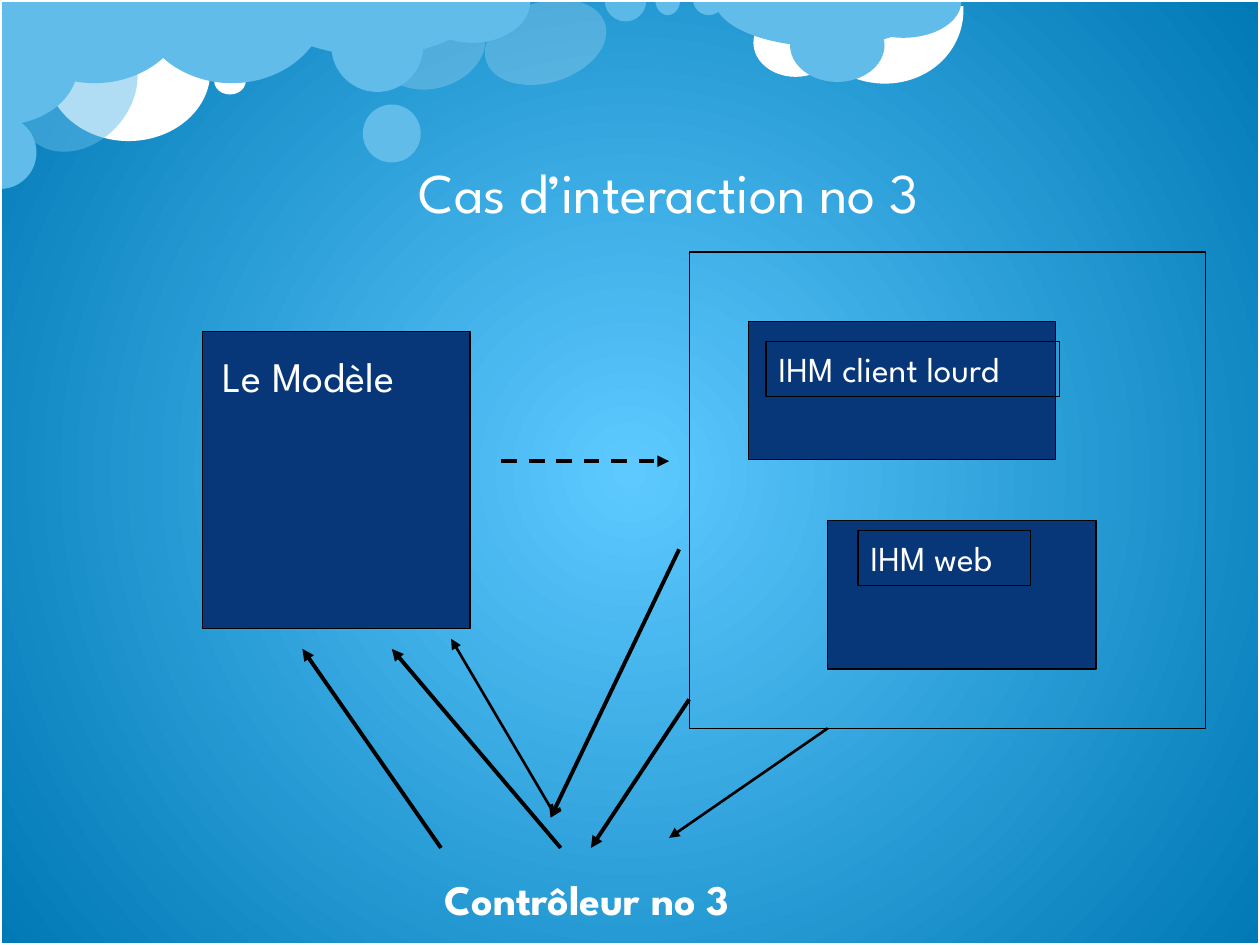
from lxml import etree
from pptx import Presentation
from pptx.dml.color import RGBColor
from pptx.enum.dml import MSO_LINE
from pptx.enum.shapes import MSO_CONNECTOR, MSO_SHAPE
from pptx.enum.text import MSO_ANCHOR, MSO_AUTO_SIZE, PP_ALIGN
from pptx.oxml.ns import qn
from pptx.util import Inches, Pt

ELLIPSE, PIE, ARC, RECT = MSO_SHAPE.OVAL, MSO_SHAPE.PIE, MSO_SHAPE.ARC, MSO_SHAPE.RECTANGLE
STRAIGHT, DASH = MSO_CONNECTOR.STRAIGHT, MSO_LINE.DASH
CENTER, LEFT = PP_ALIGN.CENTER, PP_ALIGN.LEFT
TOP, MIDDLE = MSO_ANCHOR.TOP, MSO_ANCHOR.MIDDLE
FIT, NO_FIT = MSO_AUTO_SIZE.SHAPE_TO_FIT_TEXT, MSO_AUTO_SIZE.NONE
FONT = "League Spartan"
COLORS = {
    "glow": "5DC9FF",
    "sky": "0079B5",
    "cloud": "62BCE9",
    "pale": "8FD9FB",
    "white": "FFFFFF",
    "navy": "073779",
    "black": "000000",
}
HALF = (0, 108)
ROUND = (0, 107.77)
CLOUDS = [
    (ELLIPSE, 3.11, -0.05, 0.64, 0.86, "white", 20, 72.8, ()),
    (ELLIPSE, 0.37, 0.01, 1.3, 1.11, "white", 100, 0, ()),
    (ARC, 6.39, -0.6, 1.21, 1.31, "white", 100, 106.5, (151.8, 44.48)),
    (ELLIPSE, 5.98, 0.07, 0.67, 0.54, "white", 100, 0, ()),
    (PIE, -0.01, -0.66, 1.52, 1.32, "cloud", 100, 0, HALF),
    (PIE, 2.08, -0.44, 1.75, 0.88, "cloud", 100, 0, HALF),
    (ELLIPSE, 2.88, 0.83, 0.46, 0.46, "cloud", 100, 0, ()),
    (ELLIPSE, 0.19, 0.18, 0.85, 1.07, "cloud", 50, 41.8, ()),
    (PIE, -0.29, 0.92, 0.58, 0.58, "cloud", 100, 270, ROUND),
    (ELLIPSE, 1.7, 0.54, 0.25, 0.21, "white", 100, 0, ()),
    (PIE, 1.08, -0.66, 1.52, 1.32, "cloud", 100, 0, HALF),
    (PIE, 5.67, -0.38, 1.75, 0.75, "cloud", 100, 0, HALF),
    (ELLIPSE, 6.27, 0.07, 0.75, 0.58, "cloud", 100, 0, ()),
    (PIE, 6.71, -0.28, 0.92, 0.58, "cloud", 100, 0, HALF),
    (ELLIPSE, 4.01, -0.16, 0.64, 0.99, "white", 20, 72.8, ()),
    (PIE, 4.8, -0.16, 0.33, 0.33, "pale", 50, 0, ROUND),
    (PIE, 5.2, -0.13, 0.2, 0.25, "cloud", 100, 0, ROUND),
    (PIE, 5.5, -0.13, 0.25, 0.25, "cloud", 100, 0, ROUND),
    (ELLIPSE, 2.63, 0, 0.73, 0.73, "cloud", 100, 0, ()),
    (PIE, 3.29, -0.33, 0.92, 0.67, "cloud", 100, 0, HALF),
    (PIE, -0.47, -0.09, 0.93, 1.24, "cloud", 100, 270, HALF),
]
ARROWS = [
    ((5.39, 4.36), (4.37, 6.49), 2.25, "arrow", None),
    ((6.57, 5.78), (5.31, 6.65), 1.5, "triangle", None),
    ((3.5, 6.73), (2.4, 5.15), 2.25, "triangle", None),
    ((3.98, 3.66), (5.31, 3.66), 2.25, "triangle", DASH),
    ((4.37, 6.41), (3.58, 5.07), 1.5, "triangle", None),
    ((5.47, 5.55), (4.69, 6.73), 2.25, "triangle", None),
    ((4.45, 6.73), (3.11, 5.15), 2.25, "triangle", None),
]


def rgb(name):
    return RGBColor.from_string(COLORS[name])


def set_outline(sp, color, width):
    if color:
        sp.line.color.rgb = rgb(color)
        sp.line.width = Pt(width)
    else:
        sp.line.fill.background()


def add_shape(s, kind, box, fill=None, line=None, width=0.75, alpha=100):
    sp = s.shapes.add_shape(kind, *map(Inches, box))
    sp.shadow.inherit = False
    if fill:
        sp.fill.solid()
        sp.fill.fore_color.rgb = rgb(fill)
        if alpha < 100:
            clr = sp.fill._xPr.find(qn("a:solidFill"))[0]
            etree.SubElement(clr, qn("a:alpha")).set("val", str(alpha * 1000))
    else:
        sp.fill.background()
    set_outline(sp, line, width)
    return sp


def add_text(s, text, box, size=24, bold=False, align=LEFT, anchor=TOP,
             wrap=False, spacing=None, line=None):
    sp = s.shapes.add_textbox(*map(Inches, box))
    set_outline(sp, line, 0.75)
    tf = sp.text_frame
    tf.word_wrap = wrap
    tf.auto_size = NO_FIT if wrap else FIT
    tf.vertical_anchor = anchor
    p = tf.paragraphs[0]
    p.alignment = align
    if spacing:
        p.line_spacing = Pt(spacing)
    r = p.add_run()
    r.text = text
    r.font.name = FONT
    r.font.size = Pt(size)
    r.font.bold = bold
    r.font.color.rgb = rgb("white")


def add_arrow(s, start, end, width, head, dash):
    cn = s.shapes.add_connector(STRAIGHT, *map(Inches, start + end))
    cn.line.color.rgb = rgb("black")
    cn.line.width = Pt(width)
    if dash:
        cn.line.dash_style = dash
    pr = cn._element.spPr
    etree.SubElement(pr.find(qn("a:ln")), qn("a:tailEnd")).set("type", head)
    etree.SubElement(pr, qn("a:effectLst"))


def add_background(s):
    fill = s.background.fill
    fill.gradient()
    for stop, name, position in zip(fill.gradient_stops, ("glow", "sky"), (0, 1)):
        stop.color.rgb = rgb(name)
        stop.position = position
    grad = next(s.element.iter(qn("a:gradFill")))
    grad.remove(grad.find(qn("a:lin")))
    circle = etree.SubElement(grad, qn("a:path"))
    circle.set("path", "circle")
    center = etree.SubElement(circle, qn("a:fillToRect"))
    for side in "ltrb":
        center.set(side, "50000")


def add_sky(s, box):
    x, y, w, h = box
    for kind, dx, dy, cw, ch, fill, alpha, rotation, angles in CLOUDS:
        sp = add_shape(s, kind, (x + dx, y + dy, cw, ch), fill, alpha=alpha)
        sp.rotation = rotation
        for i, angle in enumerate(angles):
            sp.adjustments[i] = angle
    add_shape(s, RECT, box, line="white", width=2)


def add_model(s, box):
    x, y, w, h = box
    add_shape(s, RECT, box, "navy", "black")
    add_text(s, "Le Modèle", (x + 0.06, y + 0.1, 1.76, 0.5))


def add_views(s, box):
    x, y, w, h = box
    add_shape(s, RECT, (x + 1.1, y + 2.13, 2.13, 1.18), "navy", "black")
    add_shape(s, RECT, (x + 0.47, y + 0.55, 2.44, 1.1), "navy", "black")
    add_text(s, "IHM client lourd", (x + 0.61, y + 0.71, 2.33, 0.44), size=20, line="black")
    add_text(s, "IHM web", (x + 1.34, y + 2.21, 1.37, 0.44), size=20, line="black")
    add_shape(s, RECT, box, line="black")


def main():
    prs = Presentation()
    prs.slide_width, prs.slide_height = Inches(10), Inches(7.5)
    s = prs.slides.add_slide(prs.slide_layouts[6])
    add_background(s)
    add_sky(s, (0, 0, 10, 7.5))
    add_text(s, "Cas d’interaction no 3", (0.81, 0.77, 9, 1.25), size=32,
             align=CENTER, anchor=MIDDLE, wrap=True, spacing=56)
    add_model(s, (1.61, 2.63, 2.12, 2.36))
    add_views(s, (5.47, 2, 4.1, 3.78))
    add_text(s, "Contrôleur no 3", (3.43, 6.88, 2.74, 0.5), bold=True)
    for arrow in ARROWS:
        add_arrow(s, *arrow)
    prs.save("out.pptx")


if __name__ == "__main__":
    main()
